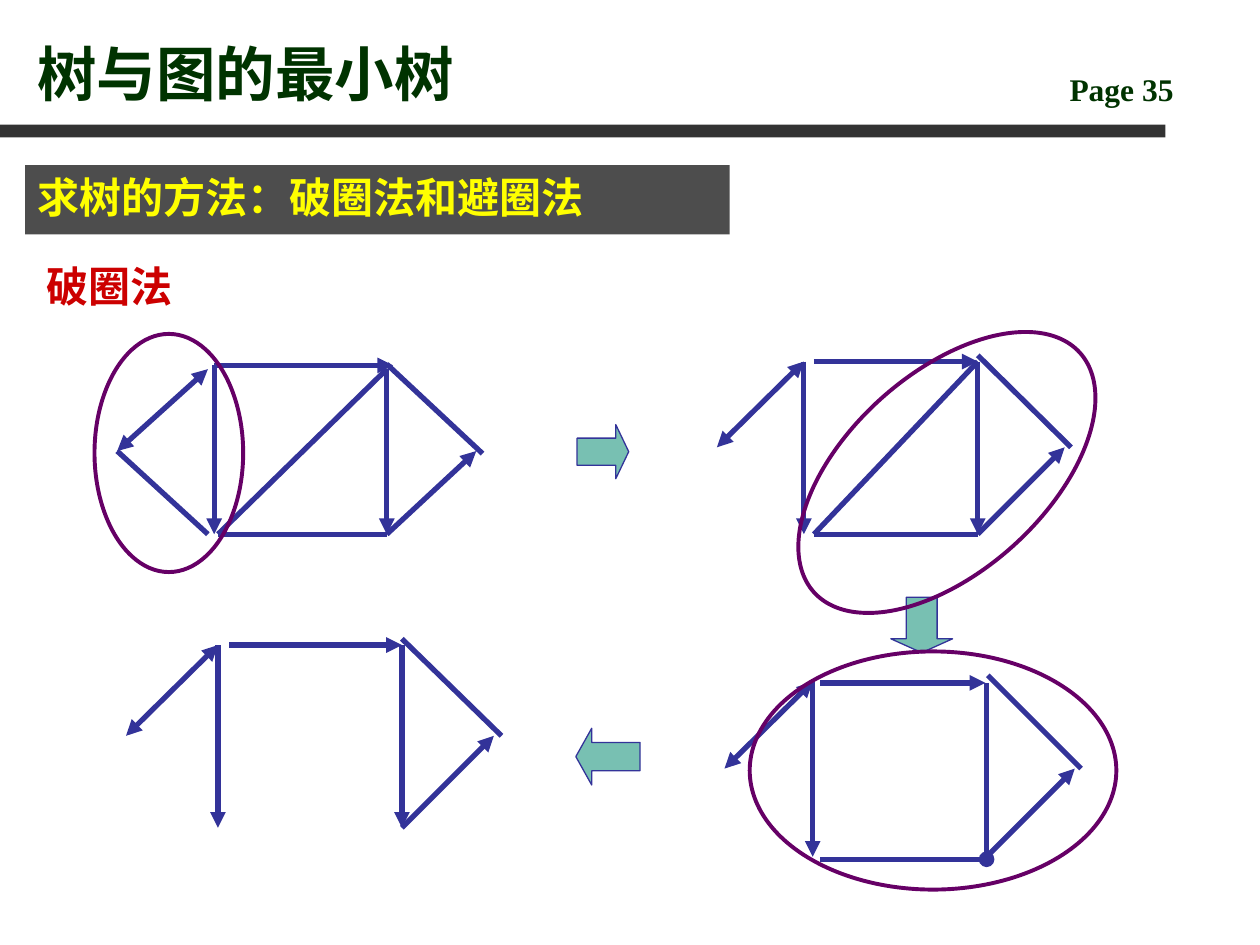
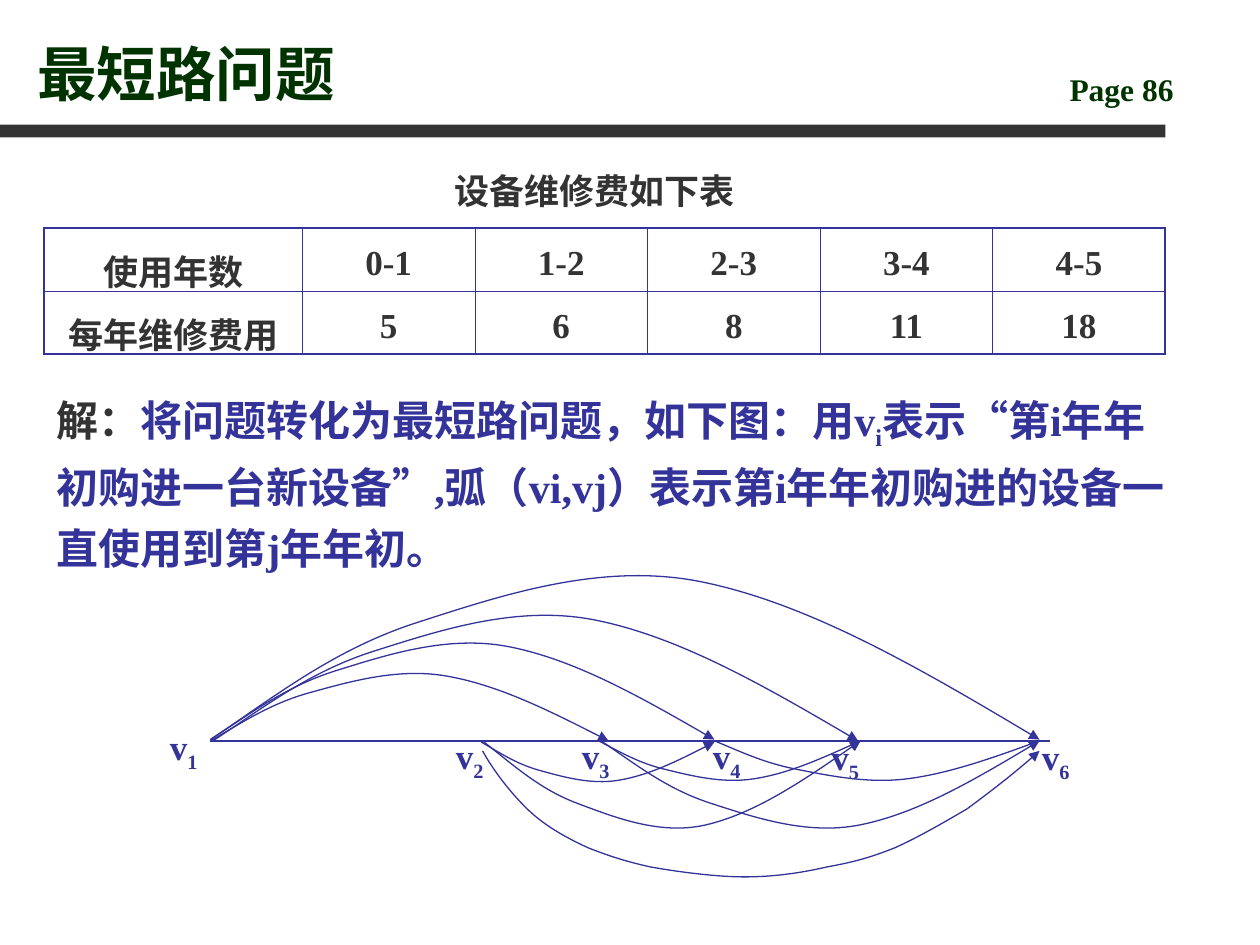
from dataclasses import dataclass
from typing import NamedTuple

import lxml.etree
import pptx
import pptx.dml.color
import pptx.enum.shapes
import pptx.enum.text
import pptx.oxml.ns
import pptx.util

Inches = pptx.util.Inches
Pt = pptx.util.Pt
qn = pptx.oxml.ns.qn
Preset = pptx.enum.shapes.MSO_SHAPE
Align = pptx.enum.text.PP_ALIGN
Anchor = pptx.enum.text.MSO_ANCHOR

LATIN, CHINESE = "Times New Roman", "Noto Sans CJK SC"
GREEN, CHARCOAL, GRAY = "003300", "333333", "4D4D4D"
BLUE, TEAL, PURPLE = "333399", "78C0B2", "660066"
YELLOW, RED = "FFFF00", "CC0000"


class Box(NamedTuple):
    left: float
    top: float
    width: float
    height: float


class Edge(NamedTuple):
    x1: float
    y1: float
    x2: float
    y2: float
    tail: str = ""
    head: str = ""


class Mark(NamedTuple):
    preset: Preset
    box: Box
    rotation: float = 0
    depth: float = 0.25


class Arc(NamedTuple):
    start: float
    end: float
    base: float
    height: float
    tail: str = "triangle"


@dataclass
class Piece:
    text: str
    size: float
    color: str
    font: str = LATIN
    subscript: bool = False


ONE, BOTH = ("triangle",), ("triangle", "triangle")

FIRST_GRAPH = [
    Edge(0.93, 3.58, 1.65, 2.93, *BOTH),
    Edge(1.7, 2.9, 1.7, 4.24, *ONE),
    Edge(0.93, 3.58, 1.65, 4.24),
    Edge(1.7, 2.9, 3.12, 2.9, *ONE),
    Edge(3.07, 2.93, 3.07, 4.24, *ONE),
    Edge(3.07, 4.24, 3.78, 3.58, *ONE),
    Edge(3.83, 3.6, 3.07, 2.89),
    Edge(1.73, 4.24, 3.07, 4.24),
    Edge(1.73, 4.24, 3.07, 2.93),
]
SECOND_GRAPH = [
    Edge(5.69, 3.55, 6.38, 2.87, *BOTH),
    Edge(6.38, 2.87, 6.38, 4.24, *ONE),
    Edge(6.46, 2.87, 7.76, 2.87, *ONE),
    Edge(7.76, 2.87, 7.76, 4.24, *ONE),
    Edge(7.76, 4.24, 8.45, 3.55, *ONE),
    Edge(8.5, 3.55, 7.76, 2.82),
    Edge(6.46, 4.24, 7.76, 4.24),
    Edge(6.46, 4.24, 7.76, 2.87),
]
THIRD_GRAPH = [
    Edge(5.75, 6.1, 6.45, 5.41, *BOTH),
    Edge(6.45, 5.41, 6.45, 6.8, *ONE),
    Edge(6.51, 5.42, 7.82, 5.42, *ONE),
    Edge(7.83, 5.42, 7.83, 6.82, "oval"),
    Edge(7.83, 6.8, 8.53, 6.1, *ONE),
    Edge(8.58, 6.1, 7.84, 5.36),
    Edge(6.51, 6.82, 7.82, 6.82),
]
SPANNING_TREE = [
    Edge(1, 5.84, 1.73, 5.12, *BOTH),
    Edge(1.73, 5.12, 1.73, 6.57, *ONE),
    Edge(1.82, 5.12, 3.19, 5.12, *ONE),
    Edge(3.19, 5.12, 3.19, 6.57, *ONE),
    Edge(3.19, 6.57, 3.92, 5.84, *ONE),
    Edge(3.98, 5.84, 3.19, 5.07),
]
STEP_ARROWS = [
    Mark(Preset.RIGHT_ARROW, Box(4.58, 3.37, 0.41, 0.43)),
    Mark(Preset.DOWN_ARROW, Box(7.07, 4.74, 0.49, 0.44)),
    Mark(Preset.LEFT_ARROW, Box(4.57, 5.78, 0.51, 0.45), depth=0.28),
]
CIRCUITS = [
    Mark(Preset.OVAL, Box(0.75, 2.65, 1.18, 1.89)),
    Mark(Preset.OVAL, Box(6.73, 2.33, 1.57, 2.84), rotation=48),
    Mark(Preset.OVAL, Box(5.95, 5.17, 2.91, 1.89)),
]

ARC_PROFILE = [
    (0, 0), (0.08, 0.25), (0.15, 0.51), (0.25, 0.66), (0.35, 0.81),
    (0.47, 1), (0.59, 0.89), (0.72, 0.77), (0.86, 0.39), (1, 0),
]
BOWL_PROFILE = [
    (0, 0), (0.02, 0.16), (0.05, 0.33), (0.08, 0.46), (0.11, 0.59),
    (0.15, 0.69), (0.19, 0.77), (0.23, 0.84), (0.26, 0.88), (0.3, 0.92),
    (0.35, 0.96), (0.42, 1), (0.47, 1), (0.53, 1), (0.58, 0.96),
    (0.62, 0.92), (0.67, 0.88), (0.7, 0.84), (0.74, 0.77), (0.78, 0.69),
    (0.82, 0.59), (0.87, 0.46), (0.91, 0.33), (0.96, 0.16), (1, 0),
]
ARCS = [
    Arc(5.67, 8.25, 5.88, 0.34, ""),
    Arc(4.75, 6.83, 5.88, 0.34),
    Arc(3.82, 5.67, 5.89, 0.34),
    Arc(4.77, 8.25, 5.88, 0.75),
    Arc(3.83, 6.83, 5.88, 0.75),
    Arc(1.67, 8.25, 5.87, -1.41),
    Arc(1.69, 6.81, 5.88, -1.08),
    Arc(1.67, 5.67, 5.87, -0.83),
    Arc(1.67, 4.83, 5.88, -0.58),
]
BOWL = Arc(3.83, 8.25, 5.96, 1)
VERTEX_PLACES = [(1.25, 5.71), (3.52, 5.78), (4.52, 5.78), (5.56, 5.78), (6.5, 5.79), (8.17, 5.79)]

COST_ROWS = [
    ["使用年数", "0-1", "1-2", "2-3", "3-4", "4-5"],
    ["每年维修费用", "5", "6", "8", "11", "18"],
]
COST_WIDTHS = [2.05] + [1.37] * 5


def rgb(color: str) -> pptx.dml.color.RGBColor:
    return pptx.dml.color.RGBColor.from_string(color)


def lengths(*values: float) -> list[int]:
    return [Inches(value) for value in values]


def write(frame, pieces: list[Piece], align=Align.LEFT, spacing: float = 1) -> None:
    frame.word_wrap = True
    paragraph = frame.paragraphs[0]
    paragraph.alignment = align
    paragraph.line_spacing = spacing
    for piece in pieces:
        run = paragraph.add_run()
        run.text = piece.text
        run.font.name = piece.font
        run.font.size = Pt(piece.size)
        run.font.bold = True
        run.font.color.rgb = rgb(piece.color)
        if piece.subscript:
            run._r.get_or_add_rPr().set("baseline", "-25000")


def add_text(slide, box: Box, pieces: list[Piece], anchor=Anchor.TOP, align=Align.LEFT, spacing: float = 1) -> None:
    frame = slide.shapes.add_textbox(*lengths(*box)).text_frame
    frame.vertical_anchor = anchor
    write(frame, pieces, align, spacing)


def style_line(shape, color: str, width: float, tail: str = "", head: str = "") -> None:
    shape.line.color.rgb = rgb(color)
    shape.line.width = Pt(width)
    outline = shape.element.spPr.find(qn("a:ln"))
    for tag, kind in (("a:headEnd", head), ("a:tailEnd", tail)):
        if kind:
            lxml.etree.SubElement(outline, qn(tag)).set("type", kind)


def add_filled(slide, preset: Preset, box: Box, fill: str = ""):
    shape = slide.shapes.add_shape(preset, *lengths(*box))
    shape.shadow.inherit = False
    if fill:
        shape.fill.solid()
        shape.fill.fore_color.rgb = rgb(fill)
    else:
        shape.fill.background()
    shape.line.fill.background()
    return shape


def add_mark(slide, mark: Mark, fill: str, color: str, width: float) -> None:
    shape = add_filled(slide, mark.preset, mark.box, fill)
    shape.rotation = mark.rotation
    if len(shape.adjustments) == 2:
        shape.adjustments[0] = 0.5
        shape.adjustments[1] = mark.depth
    style_line(shape, color, width)


def add_edge(slide, edge: Edge, width: float) -> None:
    straight = pptx.enum.shapes.MSO_CONNECTOR.STRAIGHT
    connector = slide.shapes.add_connector(straight, *lengths(edge.x1, edge.y1, edge.x2, edge.y2))
    style_line(connector, BLUE, width, edge.tail, edge.head)
    lxml.etree.SubElement(connector.element.spPr, qn("a:effectLst"))


def add_arc(slide, arc: Arc, profile: list[tuple[float, float]]) -> None:
    points = [
        lengths(arc.start + x * (arc.end - arc.start), arc.base + y * arc.height)
        for x, y in profile
    ]
    builder = slide.shapes.build_freeform(*points[0])
    builder.add_line_segments(points[1:], close=False)
    shape = builder.convert_to_shape()
    shape.shadow.inherit = False
    shape.fill.background()
    style_line(shape, BLUE, 0.75, arc.tail)
    outline = next(shape.element.iter(qn("a:path")))
    segments = outline.findall(qn("a:lnTo"))
    for first in range(0, len(segments), 3):
        curve = lxml.etree.SubElement(outline, qn("a:cubicBezTo"))
        for segment in segments[first:first + 3]:
            curve.append(segment[0])
            outline.remove(segment)


def border_cell(cell, widths: dict[str, float]) -> None:
    properties = cell._tc.get_or_add_tcPr()
    for side, width in widths.items():
        border = lxml.etree.SubElement(properties, qn(f"a:ln{side}"), w=str(Pt(width)))
        fill = lxml.etree.SubElement(border, qn("a:solidFill"))
        lxml.etree.SubElement(fill, qn("a:srgbClr"), val=BLUE)


def add_cost_table(slide) -> None:
    rows, columns = len(COST_ROWS), len(COST_WIDTHS)
    table = slide.shapes.add_table(rows, columns, *lengths(0.35, 1.81, sum(COST_WIDTHS), 1)).table
    table.first_row = table.horz_banding = False
    for column, width in zip(table.columns, COST_WIDTHS):
        column.width = Inches(width)
    for row, texts in enumerate(COST_ROWS):
        for column, text in enumerate(texts):
            cell = table.cell(row, column)
            outer = {"L": column == 0, "R": column == columns - 1, "T": row == 0, "B": row == rows - 1}
            border_cell(cell, {side: 1.08 if edge else 0.45 for side, edge in outer.items()})
            cell.fill.background()
            cell.vertical_anchor = Anchor.MIDDLE
            write(cell.text_frame, [Piece(text, 20, CHARCOAL)], Align.CENTER, 1.2)


def add_page(presentation, title: str, number: int):
    slide = presentation.slides.add_slide(presentation.slide_layouts[6])
    add_filled(slide, Preset.RECTANGLE, Box(0, 0.99, 9.25, 0.1), CHARCOAL)
    add_text(slide, Box(8.39, 0.51, 1.42, 0.4), [Piece(f"Page {number}", 18, GREEN)])
    add_text(slide, Box(0.2, 0.13, 8.03, 0.78), [Piece(title, 34, GREEN)], Anchor.BOTTOM)
    return slide


def build_tree_slide(presentation) -> None:
    slide = add_page(presentation, "树与图的最小树", 35)
    heading = Box(0.2, 1.31, 5.59, 0.55)
    add_filled(slide, Preset.RECTANGLE, heading, GRAY)
    add_text(slide, heading, [Piece("求树的方法：破圈法和避圈法", 24, YELLOW)])
    add_text(slide, Box(0.27, 2.02, 1.5, 0.5), [Piece("破圈法", 24, RED)])
    for edge in FIRST_GRAPH + SECOND_GRAPH + THIRD_GRAPH + SPANNING_TREE:
        add_edge(slide, edge, 3)
    for arrow in STEP_ARROWS:
        add_mark(slide, arrow, TEAL, BLUE, 0.75)
    for circuit in CIRCUITS:
        add_mark(slide, circuit, "", PURPLE, 2.25)


def build_path_slide(presentation) -> None:
    slide = add_page(presentation, "最短路问题", 86)
    caption = [Piece("设备维修费如下表", 20, CHARCOAL)]
    add_text(slide, Box(0.27, 1.23, 8.9, 0.63), caption, align=Align.CENTER, spacing=1.2)
    add_cost_table(slide)
    solution = [
        Piece("解：", 24, CHARCOAL),
        Piece("将问题转化为最短路问题，如下图：用v", 24, BLUE),
        Piece("i", 24, BLUE, subscript=True),
        Piece("表示", 24, BLUE),
        Piece("“", 24, BLUE, CHINESE),
        Piece("第i年年初购进一台新设备", 24, BLUE),
        Piece("”", 24, BLUE, CHINESE),
        Piece(",弧（vi,vj）表示第i年年初购进的设备一直使用到第j年年初。", 24, BLUE),
    ]
    add_text(slide, Box(0.35, 2.99, 9.06, 2.09), solution, spacing=1.2)
    add_edge(slide, Edge(1.67, 5.88, 8.33, 5.88), 0.75)
    for number, place in enumerate(VERTEX_PLACES, 1):
        vertex = [Piece("v", 20, BLUE), Piece(str(number), 20, BLUE, subscript=True)]
        add_text(slide, Box(*place, 0.58, 0.48), vertex)
    for arc in ARCS:
        add_arc(slide, arc, ARC_PROFILE)
    add_arc(slide, BOWL, BOWL_PROFILE)


def main() -> None:
    presentation = pptx.Presentation()
    presentation.slide_width, presentation.slide_height = lengths(10, 7.5)
    build_tree_slide(presentation)
    build_path_slide(presentation)
    presentation.save("out.pptx")


if __name__ == "__main__":
    main()
